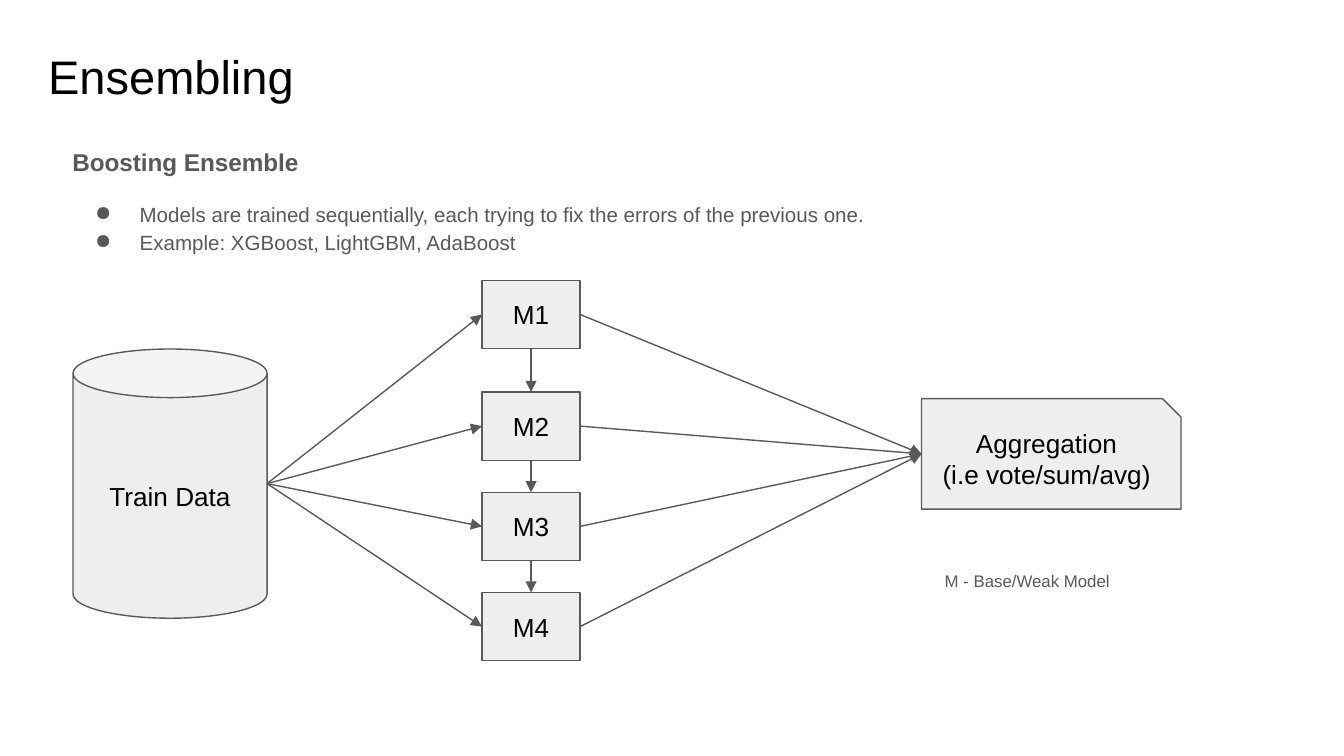
from dataclasses import dataclass
from lxml import etree
from pptx import Presentation
from pptx.dml.color import RGBColor
from pptx.enum.shapes import MSO_CONNECTOR, MSO_SHAPE
from pptx.enum.text import MSO_ANCHOR, PP_ALIGN
from pptx.oxml.ns import qn
from pptx.util import Pt

LINE = MSO_CONNECTOR.STRAIGHT
CAN, RECT, SNIP = MSO_SHAPE.CAN, MSO_SHAPE.RECTANGLE, MSO_SHAPE.SNIP_1_RECTANGLE
MID, TOP = MSO_ANCHOR.MIDDLE, MSO_ANCHOR.TOP
LEFT, CENTER = PP_ALIGN.LEFT, PP_ALIGN.CENTER


@dataclass
class Theme:
    font: str = "Arial"
    ink: RGBColor = RGBColor(0, 0, 0)
    gray: RGBColor = RGBColor(0x59, 0x59, 0x59)
    fill: RGBColor = RGBColor(0xEE, 0xEE, 0xEE)
    title: float = 25.2
    head: float = 13
    body: float = 11
    label: float = 14
    note: float = 9
    line: float = 0.75


theme = Theme()


def write(shape, lines, size, color, align=LEFT, anchor=TOP):
    """Set one run per paragraph and return the paragraphs."""
    frame = shape.text_frame
    frame.word_wrap = True
    frame.vertical_anchor = anchor
    frame.margin_left = frame.margin_right = Pt(7.2)
    frame.margin_top = frame.margin_bottom = Pt(7.2)
    for i, line in enumerate(lines):
        para = frame.add_paragraph() if i else frame.paragraphs[0]
        para.alignment = align
        run = para.add_run()
        run.text = line
        run.font.name = theme.font
        run.font.size = Pt(size)
        run.font.color.rgb = color
    return frame.paragraphs


def node(kind, box, lines):
    """Add a filled, outlined shape with a centred label."""
    shape = shapes.add_shape(kind, *map(Pt, box))
    shape.shadow.inherit = False
    shape.fill.solid()
    shape.fill.fore_color.rgb = theme.fill
    shape.line.color.rgb = theme.gray
    shape.line.width = Pt(theme.line)
    write(shape, lines, theme.label, theme.ink, CENTER, MID)
    return shape


deck = Presentation()
deck.slide_width, deck.slide_height = Pt(720), Pt(405)
slide = deck.slides.add_slide(deck.slide_layouts[6])
shapes = slide.shapes

# Title
title = shapes.add_textbox(Pt(18.7), Pt(18), Pt(671), Pt(45.4))
write(title, ["Ensembling"], theme.title, theme.ink)

# Heading and bullets
body = shapes.add_textbox(Pt(31.7), Pt(69.1), Pt(644.4), Pt(319))
paras = write(body, [
    "Boosting Ensemble",
    "Models are trained sequentially, each trying to fix the errors of the previous one.",
    "Example: XGBoost, LightGBM, AdaBoost",
], theme.body, theme.gray)
for para, gap in zip(paras, (14, 12, 0)):
    para.line_spacing = 1.15
    para.space_before = Pt(gap)
head = paras[0].runs[0].font
head.size, head.bold = Pt(theme.head), True
for para in paras[1:]:
    props = para._p.get_or_add_pPr()
    props.set("marL", str(Pt(36)))
    props.set("indent", str(-Pt(23.8)))
    tint = etree.SubElement(props, qn("a:buClr"))
    etree.SubElement(tint, qn("a:srgbClr"), val=str(theme.gray))
    etree.SubElement(props, qn("a:buChar"), char="●")

# Data, models and aggregation
data = node(CAN, (39.1, 187, 104, 144.2), ["Train Data"])
data.adjustments[0] = 0.25
tops = [150.2] + [210 + 53.7 * i for i in range(3)]
models = [node(RECT, (258.2, top, 52.6, 36.6), [f"M{i}"])
          for i, top in enumerate(tops, 1)]
total = node(SNIP, (493.7, 213.6, 139, 59.2), ["Aggregation", "(i.e vote/sum/avg)"])
total.adjustments[0] = 0.167

# Arrows: data to models, models to aggregation, model to next model
links = [(data, 3, model, 1) for model in models]
links += [(model, 3, total, 1) for model in models]
links += [(prev, 2, after, 0) for prev, after in zip(models, models[1:])]
for start, out, end, into in links:
    x, y = start.left + start.width, start.top + start.height // 2
    arrow = shapes.add_connector(LINE, x, y, end.left, end.top + end.height // 2)
    if start is not data:
        arrow.begin_connect(start, out)
    if end is not total:
        arrow.end_connect(end, into)
    arrow.line.color.rgb = theme.gray
    arrow.line.width = Pt(theme.line)
    etree.SubElement(arrow.line._get_or_add_ln(), qn("a:tailEnd"), type="triangle")
    etree.SubElement(arrow._element.spPr, qn("a:effectLst"))

# Legend
note = shapes.add_textbox(Pt(499), Pt(300.2), Pt(153.4), Pt(70.6))
write(note, ["M - Base/Weak Model"], theme.note, theme.gray)

deck.save("out.pptx")
